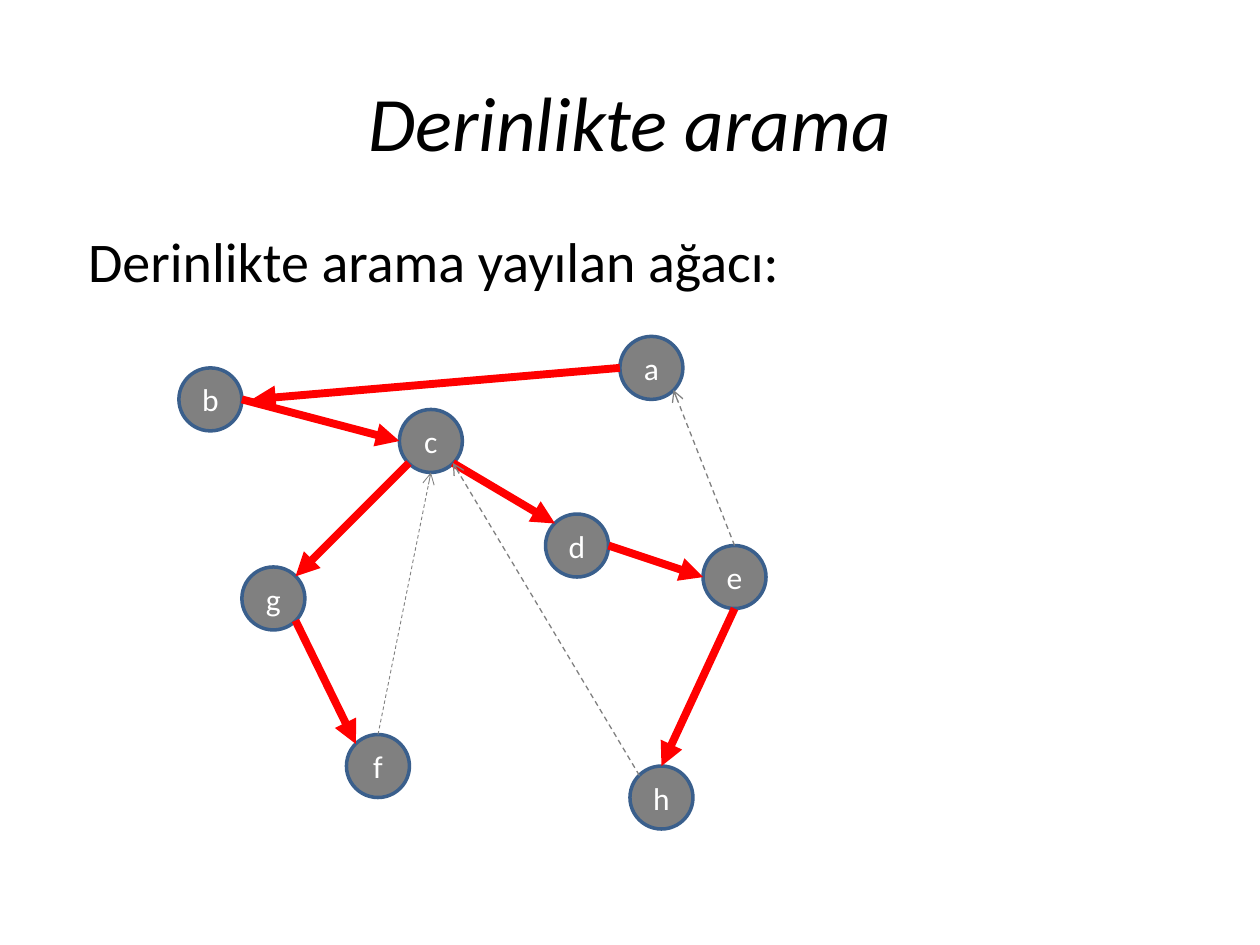
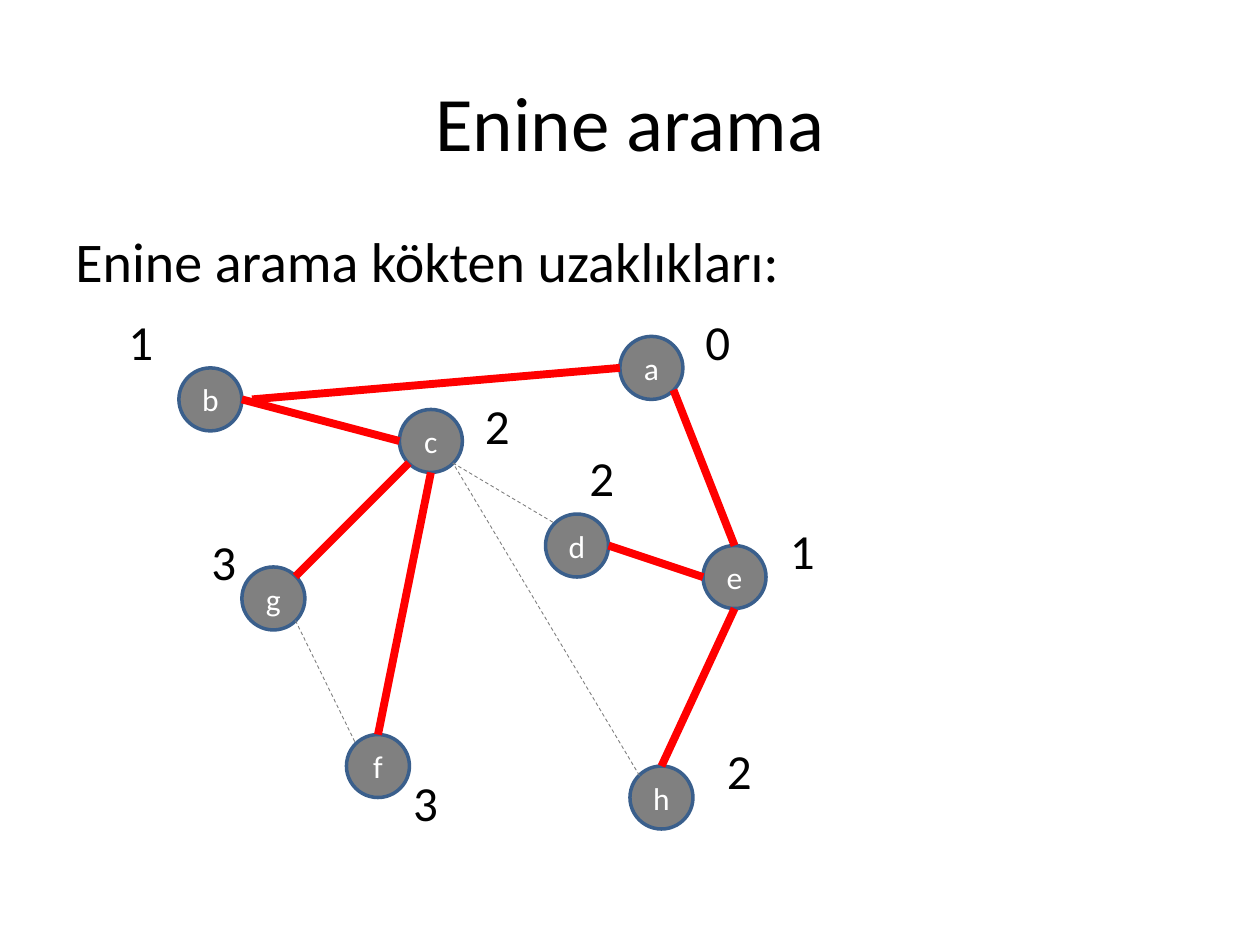
from lxml import etree
from pptx import Presentation
from pptx.dml.color import RGBColor
from pptx.enum.dml import MSO_LINE
from pptx.enum.shapes import MSO_CONNECTOR, MSO_SHAPE
from pptx.enum.text import MSO_ANCHOR, MSO_AUTO_SIZE, PP_ALIGN
from pptx.oxml.ns import qn
from pptx.util import Inches, Pt

CENTER, LEFT = PP_ALIGN.CENTER, PP_ALIGN.LEFT
MIDDLE, TOP = MSO_ANCHOR.MIDDLE, MSO_ANCHOR.TOP
FIT_SHAPE = MSO_AUTO_SIZE.SHAPE_TO_FIT_TEXT
CIRCLE = MSO_SHAPE.FLOWCHART_CONNECTOR
STRAIGHT = MSO_CONNECTOR.STRAIGHT
DASH = MSO_LINE.DASH

FONT = "Calibri"
COLORS = {"text": "000000", "node": "808080", "outline": "3A5F8C",
          "label": "FFFFFF", "tree": "FF0000", "off_tree": "808080"}
DIAMETER = 0.5
NODES = {"b": (1.42, 2.92), "c": (3.17, 3.25), "g": (1.92, 4.5), "d": (4.33, 4.08),
         "a": (4.92, 2.67), "e": (5.58, 4.33), "f": (2.75, 5.83), "h": (5, 6.08)}
SITES = {"top": (0.5, 0), "bottom": (0.5, 1), "left": (0, 0.5), "right": (1, 0.5),
         "top left": (0.15, 0.15), "top right": (0.85, 0.15),
         "bottom left": (0.15, 0.85), "bottom right": (0.85, 0.85),
         "beside right": (1.16, 0.5)}
EDGES = [("b", "right", "c", "left"),
         ("c", "bottom right", "d", "top left"),
         ("c", "bottom left", "g", "top right"),
         ("f", "top", "c", "bottom"),
         ("g", "bottom right", "f", "top left"),
         ("d", "right", "e", "left"),
         ("e", "top", "a", "bottom right"),
         ("e", "bottom", "h", "top"),
         ("a", "left", "b", "beside right"),
         ("h", "top left", "c", "bottom right")]
DEPTH_OFF_TREE = {"fc": 0.5, "ea": 0.75, "hc": 0.75}
BREADTH_OFF_TREE = {"cd": 0.5, "gf": 0.5, "hc": 0.5}
DISTANCES = [("0", 5.5, 2.42), ("1", 0.92, 2.42), ("1", 6.17, 4.08), ("2", 5.67, 5.83),
             ("2", 4.58, 3.5), ("2", 3.75, 3.09), ("3", 1.58, 4.17), ("3", 3.18, 6.08)]


def color(name):
    return RGBColor.from_string(COLORS[name])


def write(frame, text, size=18, fill="text", italic=False, align=LEFT, anchor=TOP, wrap=True):
    frame.word_wrap = wrap
    frame.vertical_anchor = anchor
    paragraph = frame.paragraphs[0]
    paragraph.alignment = align
    run = paragraph.add_run()
    run.text = text
    run.font.name = FONT
    run.font.size = Pt(size)
    run.font.italic = italic
    run.font.color.rgb = color(fill)
    return paragraph


class GraphDeck:
    """Draws the search graph slides in one shared style."""

    def __init__(self):
        self.presentation = Presentation()
        self.presentation.slide_width = Inches(10)
        self.presentation.slide_height = Inches(7.5)
        self.slide = None

    def add_slide(self, title, heading, italic=False):
        self.slide = self.presentation.slides.add_slide(self.presentation.slide_layouts[6])
        self.text(title, 0.5, 0.33, 9, 1.25, size=44, italic=italic, align=CENTER, anchor=MIDDLE)
        paragraph = self.text(heading, 0.5, 1.75, 9, 4.95, size=32)
        paragraph.space_before = Pt(6.4)
        properties = paragraph._p.get_or_add_pPr()
        properties.set("marL", str(Inches(0.38)))
        properties.set("indent", str(Inches(-0.38)))

    def text(self, text, left, top, width, height, **style):
        box = self.slide.shapes.add_textbox(Inches(left), Inches(top), Inches(width), Inches(height))
        return write(box.text_frame, text, **style)

    def distance(self, text, left, top):
        box = self.slide.shapes.add_textbox(Inches(left), Inches(top), Inches(0.4), Inches(0.57))
        write(box.text_frame, text, size=28, wrap=False)
        box.text_frame.auto_size = FIT_SHAPE

    def node(self, name):
        left, top = NODES[name]
        shape = self.slide.shapes.add_shape(CIRCLE, Inches(left), Inches(top),
                                            Inches(DIAMETER), Inches(DIAMETER))
        shape.shadow.inherit = False
        shape.fill.solid()
        shape.fill.fore_color.rgb = color("node")
        shape.line.color.rgb = color("outline")
        shape.line.width = Pt(2)
        write(shape.text_frame, name, fill="label", align=CENTER, anchor=MIDDLE)
        return shape

    def edge(self, shapes, start, start_site, end, end_site, thin_width, arrows):
        ends = []
        for name, site in ((start, start_site), (end, end_site)):
            ends += [Inches(corner + DIAMETER * share)
                     for corner, share in zip(NODES[name], SITES[site])]
        connector = self.slide.shapes.add_connector(STRAIGHT, *ends)
        if start_site == "top":
            connector.begin_connect(shapes[start], 0)
        if end_site == "top":
            connector.end_connect(shapes[end], 0)
        connector.line.color.rgb = color("off_tree" if thin_width else "tree")
        connector.line.width = Pt(thin_width or 4.5)
        if thin_width:
            connector.line.dash_style = DASH
        if arrows:
            head = etree.SubElement(connector.line._get_or_add_ln(), qn("a:tailEnd"))
            head.set("type", "arrow" if thin_width else "triangle")
        etree.SubElement(connector._element.spPr, qn("a:effectLst"))

    def graph(self, off_tree, arrows=False):
        shapes = {name: self.node(name) for name in NODES}
        for start, start_site, end, end_site in EDGES:
            self.edge(shapes, start, start_site, end, end_site,
                      off_tree.get(start + end), arrows)


def main():
    deck = GraphDeck()
    deck.add_slide("Derinlikte arama", " Derinlikte arama yayılan ağacı:", italic=True)
    deck.graph(DEPTH_OFF_TREE, arrows=True)
    deck.add_slide("Enine arama", "Enine arama kökten uzaklıkları:")
    deck.graph(BREADTH_OFF_TREE)
    for distance in DISTANCES:
        deck.distance(*distance)
    deck.presentation.save("out.pptx")


if __name__ == "__main__":
    main()
